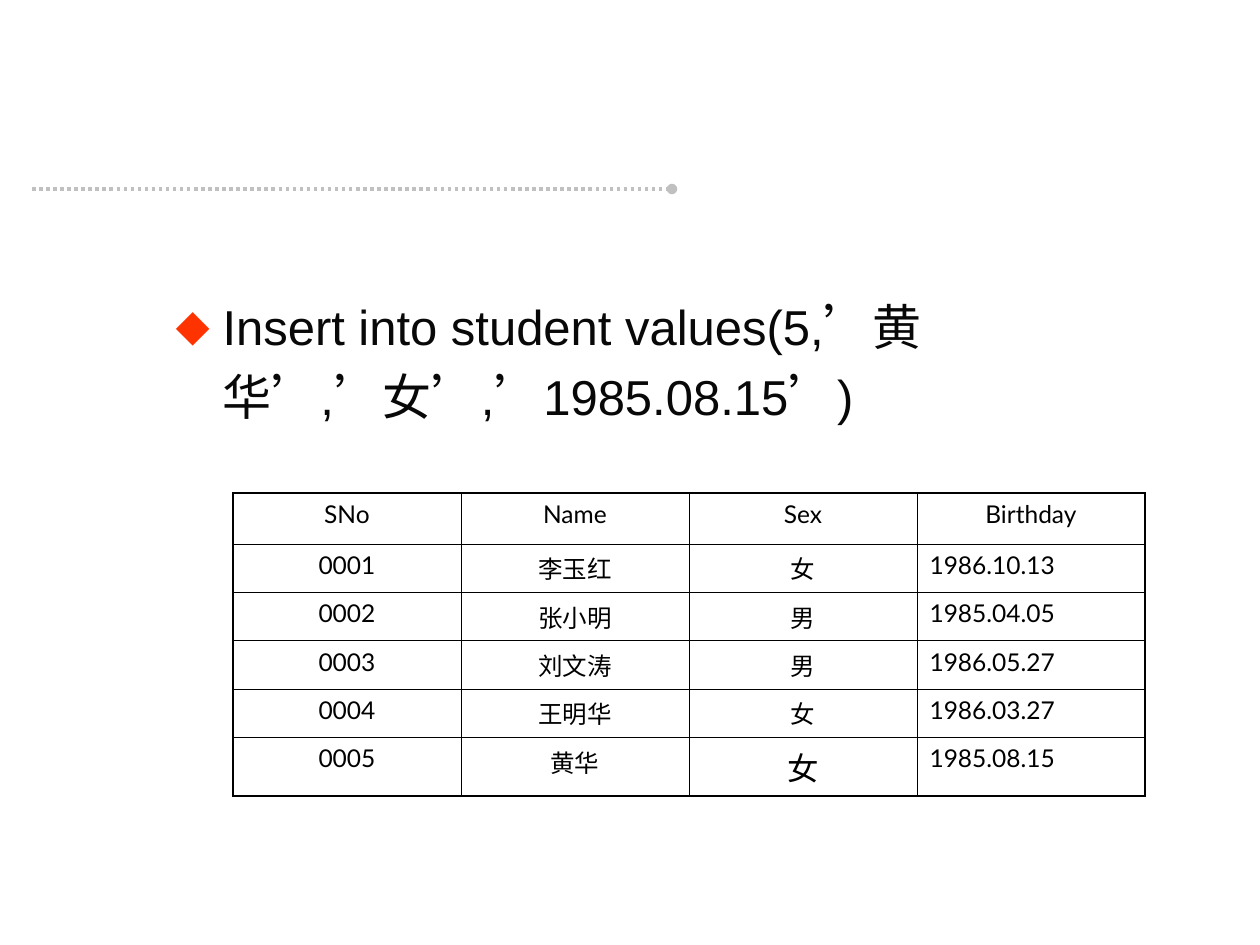
from lxml.etree import SubElement
from pptx import Presentation
from pptx.dml.color import RGBColor
from pptx.enum.dml import MSO_LINE
from pptx.enum.lang import MSO_LANGUAGE_ID
from pptx.enum.shapes import MSO_CONNECTOR
from pptx.enum.text import MSO_ANCHOR, MSO_AUTO_SIZE, PP_ALIGN
from pptx.oxml.ns import qn
from pptx.util import Pt

SCALE = 914400 / 126
THIN, THICK = 0.45, 1.08
ROWS = [
    ("SNo", "Name", "Sex", "Birthday"),
    ("0001", "李玉红", "女", "1986.10.13"),
    ("0002", "张小明", "男", "1985.04.05"),
    ("0003", "刘文涛", "男", "1986.05.27"),
    ("0004", "王明华", "女", "1986.03.27"),
    ("0005", "黄华", "女", "1985.08.15"),
]
HEIGHTS = [51, 42, 42, 42, 42, 51]


def px(count):
    return round(count * SCALE)


def color(code):
    return RGBColor.from_string(code)


def add_run(para, text, size, face, code):
    run = para.add_run()
    run.text = text
    font = run.font
    font.size, font.name = Pt(size), face
    font.color.rgb = color(code)
    font.language_id = MSO_LANGUAGE_ID.SIMPLIFIED_CHINESE


def add_rule(slide, x, y, width):
    """Draw the dotted line that ends in a dot."""
    rule = slide.shapes.add_connector(
        MSO_CONNECTOR.STRAIGHT, px(x), px(y), px(x + width), px(y))
    rule.line.color.rgb = color("C0C0C0")
    rule.line.width = Pt(2)
    rule.line.dash_style = MSO_LINE.ROUND_DOT
    props = rule.element.spPr
    SubElement(props.find(qn("a:ln")), qn("a:tailEnd"), type="oval")
    SubElement(props, qn("a:effectLst"))


def add_body(slide, x, y, width, height):
    body = slide.placeholders[1]
    body.left, body.top = px(x), px(y)
    body.width, body.height = px(width), px(height)
    frame = body.text_frame
    frame.word_wrap = True
    frame.auto_size = MSO_AUTO_SIZE.NONE
    frame.vertical_anchor = MSO_ANCHOR.TOP
    para = frame.paragraphs[0]
    para.line_spacing = 1.2
    para.space_before = Pt(0)
    props = para._p.get_or_add_pPr()
    props.set("marL", str(px(47)))
    props.set("indent", str(px(-47)))
    tint = SubElement(props, qn("a:buClr"))
    SubElement(tint, qn("a:srgbClr"), val="FF3300")
    SubElement(props, qn("a:buChar"), char="⬥")
    add_run(para, "Insert into student values(5,’黄华’,’女’,’1985.08.15’)",
            28, "Arial", "080808")


def add_edge(cell, side, width):
    edge = SubElement(cell._tc.get_or_add_tcPr(), qn("a:" + side),
                      w=str(Pt(width)))
    fill = SubElement(edge, qn("a:solidFill"))
    SubElement(fill, qn("a:srgbClr"), val="000000")


def add_grid(slide, x, y, width):
    """Place the student table; the last row is set off by a thick line."""
    last, end = len(ROWS) - 1, len(ROWS[0]) - 1
    table = slide.shapes.add_table(
        last + 1, end + 1, px(x), px(y), px(width), px(sum(HEIGHTS))).table
    table.first_row = table.horz_banding = False
    for col in table.columns:
        col.width = px(width / (end + 1))
    for r, (texts, height) in enumerate(zip(ROWS, HEIGHTS)):
        table.rows[r].height = px(height)
        for c, text in enumerate(texts):
            cell = table.cell(r, c)
            edges = {"lnL": c == 0, "lnR": c == end,
                     "lnT": r in (0, last), "lnB": r >= last - 1}
            for side, thick in edges.items():
                add_edge(cell, side, THICK if thick else THIN)
            cell.fill.background()
            para = cell.text_frame.paragraphs[0]
            left = c == end and r > 0
            para.alignment = PP_ALIGN.LEFT if left else PP_ALIGN.CENTER
            size = 18 if (r, c) == (last, 2) else 14
            add_run(para, text, size, "Lato", "000000")


def main():
    deck = Presentation()
    deck.slide_width, deck.slide_height = px(1260), px(945)
    slide = deck.slides.add_slide(deck.slide_layouts[1])
    title = slide.shapes.title.element
    title.getparent().remove(title)
    add_rule(slide, 32, 189, 640)
    add_body(slide, 163, 278, 1003, 175)
    add_grid(slide, 233, 493, 912)
    deck.save("out.pptx")


if __name__ == "__main__":
    main()
